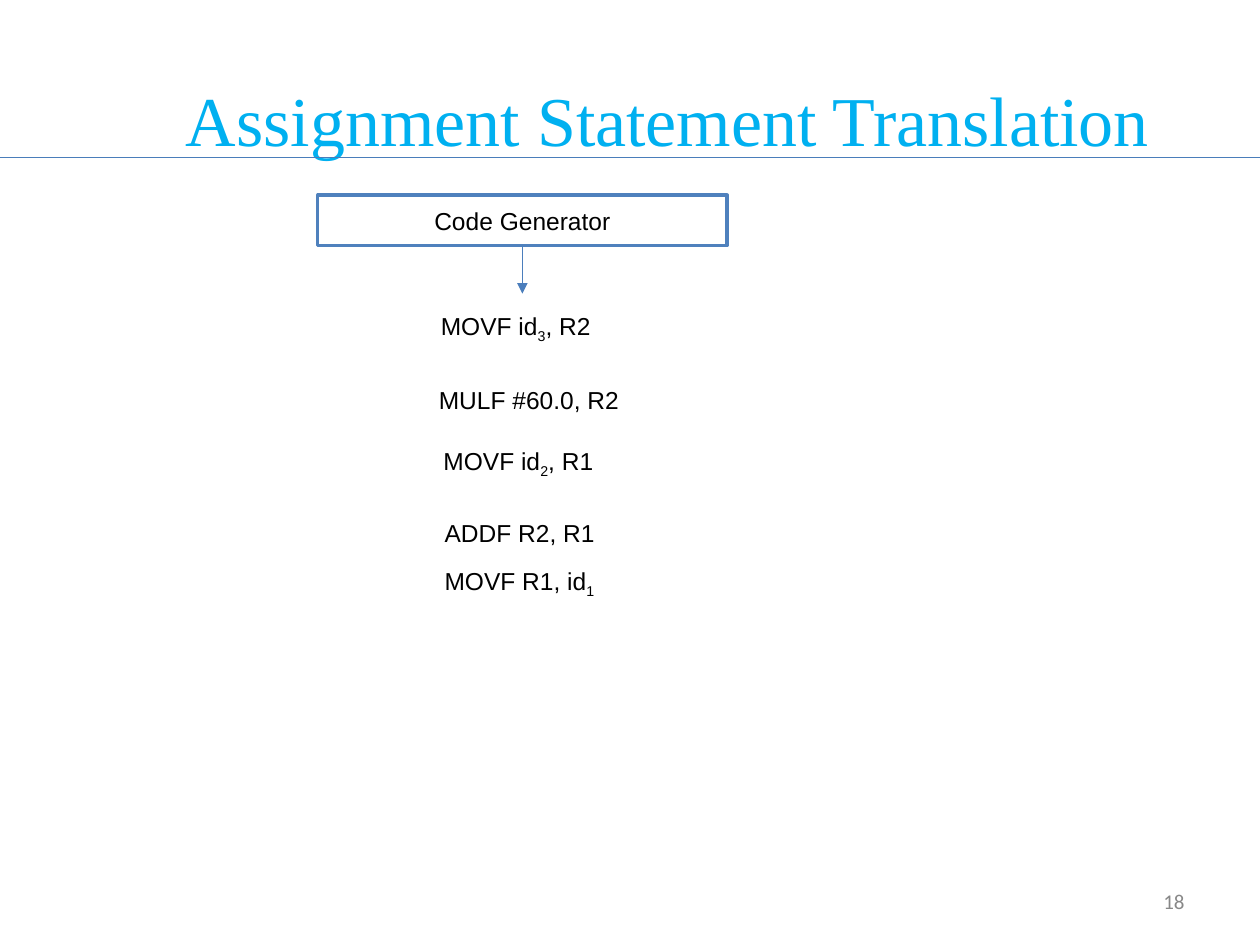
import pptx
import pptx.util
import pptx.dml.color
import pptx.enum.shapes
import pptx.enum.text
import pptx.oxml
import pptx.oxml.ns

Pt = pptx.util.Pt
RGBColor = pptx.dml.color.RGBColor
ALIGN = pptx.enum.text.PP_ALIGN
MIDDLE = pptx.enum.text.MSO_ANCHOR.MIDDLE

SKY = RGBColor(0x00, 0xB0, 0xF0)
BLUE = RGBColor(0x4F, 0x81, 0xBD)
RULE_BLUE = RGBColor(0x4A, 0x7D, 0xBA)
ARROW_BLUE = RGBColor(0x4B, 0x7E, 0xBC)
GREY = RGBColor(0x88, 0x88, 0x88)
BLACK = RGBColor(0, 0, 0)
WHITE = RGBColor(0xFF, 0xFF, 0xFF)

# Left, top and runs of each instruction; a digit run of its own is a subscript.
INSTRUCTIONS = [
    (244.8, 174.24, ["MOVF id", "3", ", R2"]),
    (243.7, 216.72, ["MULF #60.0, R2"]),
    (246.3, 251.28, ["MOVF id", "2", ", R1"]),
    (246.96, 292.32, ["ADDF R2, R1"]),
    (246.96, 319.68, ["MOVF R1, id", "1"]),
]


def add_runs(p, texts, size, font, color):
    """Add runs to a paragraph, lowering those that are only a digit."""
    for text in texts:
        r = p.add_run()
        r.text = text
        r.font.size = Pt(size)
        r.font.name = font
        r.font.color.rgb = color
        if len(texts) > 1 and text.isdigit():
            r._r.get_or_add_rPr().set("baseline", "-25000")


def add_text(s, box, texts, size, font, color, align=ALIGN.LEFT, anchor=None):
    """Add a wrapping text box and return its text frame."""
    tf = s.shapes.add_textbox(*map(Pt, box)).text_frame
    tf.word_wrap = True
    tf.vertical_anchor = anchor
    p = tf.paragraphs[0]
    p.alignment = align
    add_runs(p, texts, size, font, color)
    return tf


def add_stage(s, box, text):
    """Add an outlined box that names a compiler stage."""
    sp = s.shapes.add_shape(
        pptx.enum.shapes.MSO_SHAPE.RECTANGLE, *map(Pt, box))
    sp.shadow.inherit = False
    sp.fill.solid()
    sp.fill.fore_color.rgb = WHITE
    sp.line.color.rgb = BLUE
    sp.line.width = Pt(2)
    tf = sp.text_frame
    tf.vertical_anchor = MIDDLE
    p = tf.paragraphs[0]
    p.alignment = ALIGN.CENTER
    add_runs(p, [text], 14, "Arial", BLACK)


def add_line(s, ends, color, arrow=False):
    """Add a thin straight line, with an arrowhead at its end if asked."""
    sp = s.shapes.add_connector(
        pptx.enum.shapes.MSO_CONNECTOR.STRAIGHT, *map(Pt, ends))
    sp.line.color.rgb = color
    sp.line.width = Pt(0.75)
    make = pptx.oxml.ns.qn
    if arrow:
        ln = sp.line._get_or_add_ln()
        ln.append(ln.makeelement(make("a:tailEnd"), {"type": "triangle"}))
    sp_pr = sp._element.spPr
    sp_pr.append(sp_pr.makeelement(make("a:effectLst"), {}))


def main():
    """Build the slide and save it."""
    prs = pptx.Presentation()
    prs.slide_width, prs.slide_height = Pt(720), Pt(540)
    s = prs.slides.add_slide(prs.slide_layouts[6])

    title = add_text(s, (36, 22.6, 648, 90), ["Assignment Statement Translation"],
                     40, "Times New Roman", SKY, ALIGN.CENTER, MIDDLE)
    title.margin_left = Pt(50)
    add_text(s, (516, 500.5, 168, 28.75), ["18"], 12, "Calibri", GREY,
             ALIGN.RIGHT, MIDDLE)
    add_line(s, (0, 90, 720, 90), RULE_BLUE)
    add_stage(s, (181.5, 111.6, 234, 28.8), "Code Generator")
    add_line(s, (298.5, 140.4, 298.5, 167.8), ARROW_BLUE, arrow=True)
    for left, top, texts in INSTRUCTIONS:
        add_text(s, (left, top, 130, 24.5), texts, 14, "Arial", BLACK)

    prs.save("out.pptx")


main()
